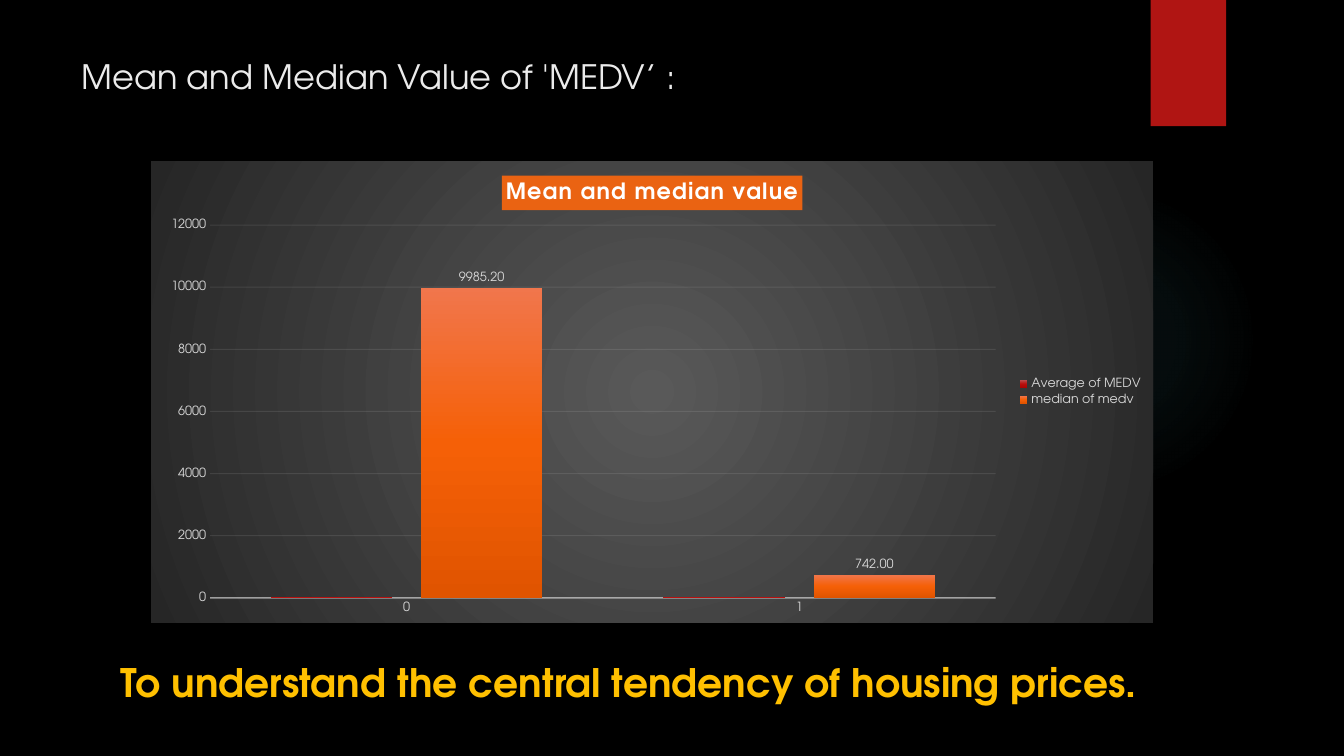
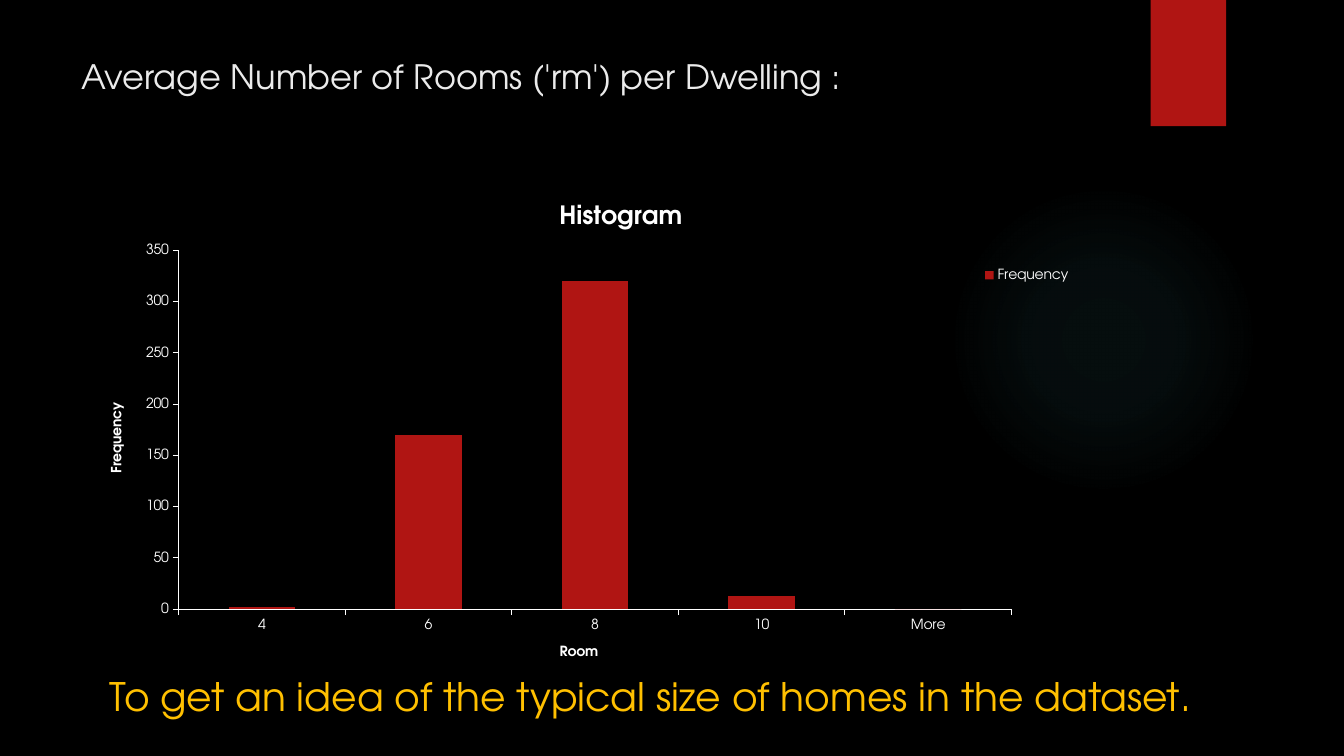
from dataclasses import dataclass

from lxml.etree import SubElement
from pptx import Presentation
from pptx.chart.data import CategoryChartData
from pptx.dml.color import RGBColor
from pptx.enum.chart import XL_CHART_TYPE, XL_LABEL_POSITION, XL_LEGEND_POSITION, XL_TICK_MARK
from pptx.enum.shapes import MSO_SHAPE
from pptx.enum.text import MSO_ANCHOR, PP_ALIGN
from pptx.oxml.ns import qn
from pptx.util import Cm, Pt


@dataclass(frozen=True)
class Theme:
    font: str = "TeX Gyre Adventor"
    background: str = "000000"
    accent: str = "B01513"
    glow: str = "50B9C1"
    title: str = "EBEBEB"
    caption: str = "FFC000"
    white: str = "FFFFFF"
    label: str = "D9D9D9"
    rule: str = "F2F2F2"
    title_band: str = "EA6312"
    panel: tuple = ((0, "595959", 100), (100, "262626", 100))
    red_bar: tuple = ((0, "BB4C4C", 100), (50, "B80D0B", 100), (100, "AA0503", 100))
    orange_bar: tuple = ((0, "F1764C", 100), (50, "F56007", 100), (100, "E05400", 100))
    title_size: int = 24
    caption_size: int = 28
    chart_size: int = 10
    label_size: int = 9


THEME = Theme()
rgb = RGBColor.from_string


def write(frame, text, *, size, color, bold=False, spacing=None, align=None):
    """Set one formatted line of text in a text frame."""
    frame.text = text
    paragraph = frame.paragraphs[0]
    paragraph.alignment = align
    run = paragraph.runs[0]
    run.font.name = THEME.font
    run.font.size = Pt(size)
    run.font.bold = bold
    run.font.color.rgb = rgb(color)
    if spacing:
        run.font._element.set("spc", str(spacing * 100))


def apply_gradient(properties, stops, angle=None):
    """Replace a solid fill by a gradient: linear with an angle, else circular."""
    solid = properties.find(qn("a:solidFill"))
    gradient = SubElement(properties, qn("a:gradFill"), rotWithShape="1")
    properties.replace(solid, gradient)
    stop_list = SubElement(gradient, qn("a:gsLst"))
    for position, color, opacity in stops:
        stop = SubElement(stop_list, qn("a:gs"), pos=str(position * 1000))
        shade = SubElement(stop, qn("a:srgbClr"), val=color)
        if opacity < 100:
            SubElement(shade, qn("a:alpha"), val=str(opacity * 1000))
    if angle is None:
        circle = SubElement(gradient, qn("a:path"), path="circle")
        SubElement(circle, qn("a:fillToRect"), l="50000", t="50000", r="50000", b="50000")
    else:
        SubElement(gradient, qn("a:lin"), ang=str(angle * 60000), scaled="0")


CONTENT = [
    dict(
        title="Mean and Median Value of 'MEDV’ :",
        title_box=(1.8, 1.27, 26.31, 2.08),
        chart_box=(3.81, 4.06, 25.25, 11.63),
        categories=["0", "1"],
        series={"Average of MEDV": (20, 20), "median of medv": (9985.2, 742)},
        chart_title=dict(text="Mean and median value", size=16, spacing=1),
        gap=100, overlap=-24, top=12000, step=2000,
        caption="To understand the central tendency of housing prices.",
        caption_box=(2.79, 16.46, 27.25, 1.45),
        caption_bold=True,
    ),
    dict(
        title="Average Number of Rooms ('rm') per Dwelling :",
        title_box=(1.8, 1.27, 27.71, 3.89),
        chart_box=(2.69, 4.6, 25.91, 12.22),
        categories=["4", "6", "8", "10", "More"],
        series={"Frequency": (2, 170, 320, 13, 0)},
        chart_title=dict(text="Histogram", size=18),
        gap=150, overlap=0, top=350, step=50,
        caption="To get an idea of the typical size of homes in the dataset.",
        caption_box=(2.51, 16.81, 28.83, 1.45),
        caption_bold=False,
    ),
]

deck = Presentation()
deck.slide_width, deck.slide_height = Cm(33.87), Cm(19.05)
layout = deck.slide_layouts[5]
slides = [deck.slides.add_slide(layout) for _ in CONTENT]

# Shared background, glow and red tab, kept on the layout
layout.background.fill.solid()
layout.background.fill.fore_color.rgb = rgb(THEME.background)
glow = slides[0].shapes.add_shape(MSO_SHAPE.OVAL, Cm(23.9), Cm(4.65), Cm(7.82), Cm(7.82))
tab = slides[0].shapes.add_shape(MSO_SHAPE.RECTANGLE, Cm(29), 0, Cm(1.9), Cm(3.18))
for order, (ornament, color) in enumerate([(glow, THEME.glow), (tab, THEME.accent)]):
    ornament.shadow.inherit = False
    ornament.fill.solid()
    ornament.fill.fore_color.rgb = rgb(color)
    ornament.line.fill.background()
    ornament._element.nvSpPr.cNvPr.set("id", str(101 + order))
    layout.shapes._spTree.insert(2 + order, ornament._element)
apply_gradient(glow._element.spPr, [(0, THEME.glow, 7), (36, THEME.glow, 6), (69, THEME.glow, 0)])

# Title, chart and caption of each slide
charts = []
for slide, content in zip(slides, CONTENT):
    title = slide.shapes.title
    title.left, title.top, title.width, title.height = map(Cm, content["title_box"])
    title.text_frame.vertical_anchor = MSO_ANCHOR.TOP
    write(title.text_frame, content["title"], size=THEME.title_size,
          color=THEME.title, align=PP_ALIGN.LEFT)

    data = CategoryChartData()
    data.categories = content["categories"]
    for name, values in content["series"].items():
        data.add_series(name, values)
    chart = slide.shapes.add_chart(
        XL_CHART_TYPE.COLUMN_CLUSTERED, *map(Cm, content["chart_box"]), data).chart
    charts.append(chart)
    chart.font.name = THEME.font
    chart.font.size = Pt(THEME.chart_size)
    chart.font.color.rgb = rgb(THEME.white)
    chart.has_title = True
    write(chart.chart_title.text_frame, **content["chart_title"], color=THEME.white, bold=True)
    chart.chart_title.include_in_layout = False
    chart.has_legend = True
    chart.legend.position = XL_LEGEND_POSITION.RIGHT
    chart.legend.include_in_layout = False
    plot = chart.plots[0]
    plot.vary_by_categories = False
    plot.gap_width, plot.overlap = content["gap"], content["overlap"]
    chart.value_axis.minimum_scale = 0
    chart.value_axis.maximum_scale = content["top"]
    chart.value_axis.major_unit = content["step"]

    caption = slide.shapes.add_textbox(*map(Cm, content["caption_box"]))
    caption.text_frame.word_wrap = True
    write(caption.text_frame, content["caption"], size=THEME.caption_size,
          color=THEME.caption, bold=content["caption_bold"])

medv, rooms = charts

# MEDV chart: grey panel, orange title band, gradient columns
panel = medv._chartSpace.makeelement(qn("c:spPr"))
medv._chartSpace.find(qn("c:chart")).addnext(panel)
SubElement(panel, qn("a:solidFill"))
apply_gradient(panel, THEME.panel)
band = medv.chart_title.format.fill
band.solid()
band.fore_color.rgb = rgb(THEME.title_band)

for series, stops in zip(medv.plots[0].series, [THEME.red_bar, THEME.orange_bar]):
    series.format.fill.solid()
    apply_gradient(series._element.spPr, stops, angle=90)

labels = medv.plots[0].series[1].data_labels
labels.show_value = True
labels.position = XL_LABEL_POSITION.OUTSIDE_END
labels.number_format = "0.00"
labels.number_format_is_linked = False
for part in (labels, medv.legend, medv.category_axis.tick_labels, medv.value_axis.tick_labels):
    part.font.name = THEME.font
    part.font.size = Pt(THEME.label_size)
    part.font.color.rgb = rgb(THEME.label)

for axis in (medv.category_axis, medv.value_axis):
    axis.major_tick_mark = XL_TICK_MARK.NONE
medv.value_axis.format.line.fill.background()
for line, width, opacity in [(medv.category_axis.format.line, 1, 54),
                             (medv.value_axis.major_gridlines.format.line, 0.75, 10)]:
    line.width = Pt(width)
    line.color.rgb = rgb(THEME.rule)
    shade = line._get_or_add_ln().find(".//" + qn("a:srgbClr"))
    SubElement(shade, qn("a:alpha"), val=str(opacity * 1000))

# Rooms histogram: red columns, white axes with titles
columns = rooms.plots[0].series[0].format.fill
columns.solid()
columns.fore_color.rgb = rgb(THEME.accent)
rooms.value_axis.has_major_gridlines = False
for axis, name in [(rooms.category_axis, "Room"), (rooms.value_axis, "Frequency")]:
    axis.major_tick_mark = XL_TICK_MARK.OUTSIDE
    axis.format.line.width = Pt(0.75)
    axis.format.line.color.rgb = rgb(THEME.white)
    axis.has_title = True
    write(axis.axis_title.text_frame, name, size=THEME.chart_size,
          color=THEME.white, bold=True)

# Fixed places of the plot area and legend, as shares of the chart
plot_area = rooms._chartSpace.find(".//" + qn("c:plotArea"))
legend = rooms.legend._element
for area, place in [(plot_area, dict(x=0.07, y=0.14, w=0.81, h=0.74)),
                    (legend, dict(x=0.85, y=0.17))]:
    for automatic in area.findall(qn("c:layout")):
        area.remove(automatic)
    position = area.makeelement(qn("c:layout"))
    if area is legend:
        area.find(qn("c:legendPos")).addnext(position)
    else:
        area.insert(0, position)
    manual = SubElement(position, qn("c:manualLayout"))
    if area is plot_area:
        SubElement(manual, qn("c:layoutTarget"), val="inner")
    for side in ("x", "y"):
        SubElement(manual, qn(f"c:{side}Mode"), val="edge")
    for key, share in place.items():
        SubElement(manual, qn(f"c:{key}"), val=str(share))

deck.save("out.pptx")
